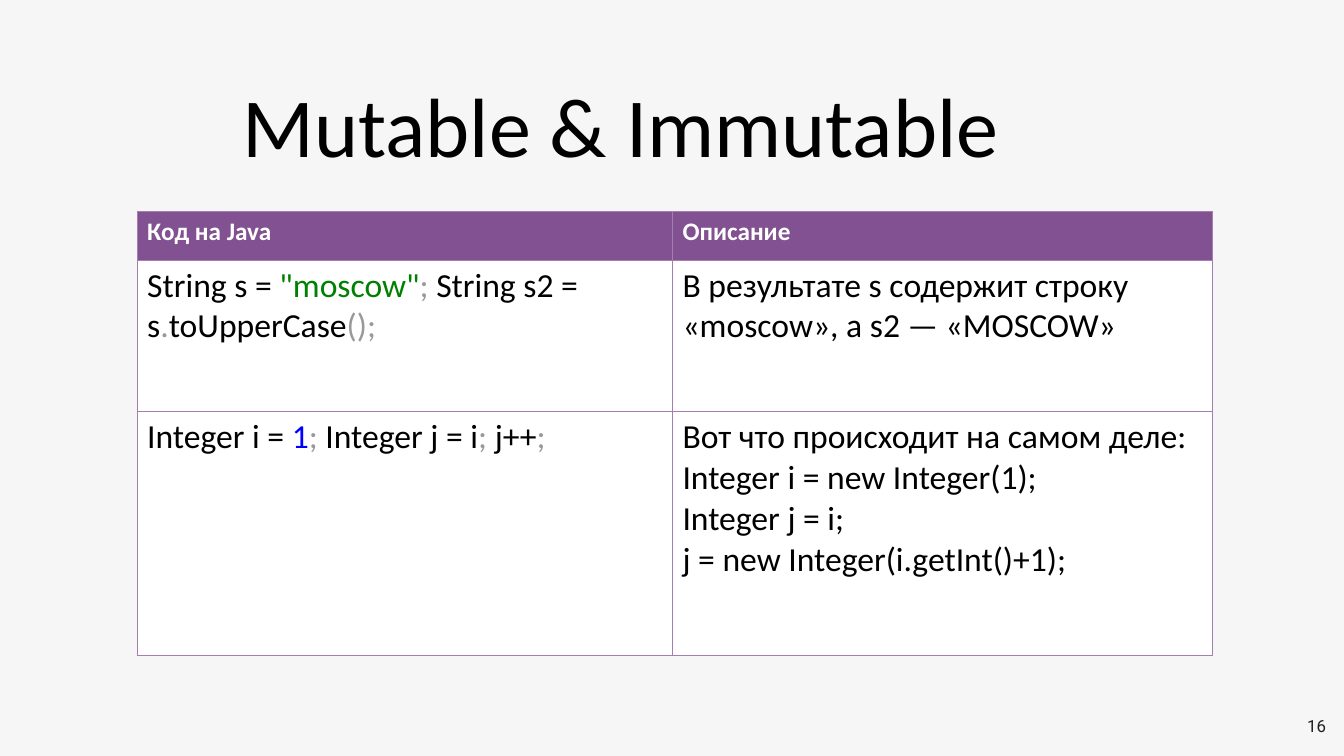
"""Builds the slide comparing mutable and immutable values in Java."""
from lxml.etree import SubElement
from pptx import Presentation
from pptx.dml.color import RGBColor
from pptx.enum.text import MSO_ANCHOR, MSO_AUTO_SIZE, PP_ALIGN
from pptx.oxml.ns import qn
from pptx.util import Inches, Pt

COLORS = {
    "background": "F6F6F6",
    "header": "815191",
    "border": "A37EAF",
    "white": "FFFFFF",
    "text": "000000",
    "number": "202020",
    "string": "008000",
    "symbol": "999999",
    "digit": "0000FF",
}
COLUMN_WIDTHS = (5.31, 5.35)
ROW_HEIGHTS = (0.48, 1.5, 2.42)
HEADERS = ("Код на Java", "Описание")
EXAMPLES = (
    (
        (("String s = ", "text"), ('"moscow"', "string"), ("; ", "symbol"),
         ("String s2 = s", "text"), (".", "symbol"), ("toUpperCase", "text"),
         ("();", "symbol")),
        "В результате s содержит строку «moscow», а s2 — «MOSCOW»",
    ),
    (
        (("Integer i = ", "text"), ("1", "digit"), ("; ", "symbol"),
         ("Integer j = i", "text"), (";", "symbol"), (" j++", "text"),
         (";", "symbol")),
        "Вот что происходит на самом деле:\nInteger i = new Integer(1);\n"
        "Integer j = i;\nj = new Integer(i.getInt()+1);",
    ),
)


def color(name):
    return RGBColor.from_string(COLORS[name])


def style(para, size, color_name, font="Calibri", bold=False):
    para.font.name = font
    para.font.size = Pt(size)
    para.font.bold = bold
    para.font.color.rgb = color(color_name)


def add_title(page, text):
    title = page.shapes.title
    title.left, title.top = Inches(0.52), Inches(0.79)
    title.width, title.height = Inches(11.27), Inches(0.64)
    frame = title.text_frame
    frame.text = text
    frame.auto_size = MSO_AUTO_SIZE.NONE
    frame.vertical_anchor = MSO_ANCHOR.TOP
    para = frame.paragraphs[0]
    para.alignment = PP_ALIGN.CENTER
    para.line_spacing = 0.9
    style(para, 60, "text")


def add_page_number(page, text):
    box = page.shapes.add_textbox(
        Inches(12.39), Inches(6.98), Inches(0.86), Inches(0.44))
    frame = box.text_frame
    frame.word_wrap = True
    frame.vertical_anchor = MSO_ANCHOR.MIDDLE
    para = frame.paragraphs[0]
    para.text = text
    para.alignment = PP_ALIGN.RIGHT
    style(para, 12, "number", "Roboto")


def format_cell(cell, fill_name):
    properties = cell._tc.get_or_add_tcPr()
    for side in ("lnL", "lnR", "lnT", "lnB"):
        line = SubElement(properties, qn(f"a:{side}"), w=str(Pt(0.57)))
        fill = SubElement(line, qn("a:solidFill"))
        SubElement(fill, qn("a:srgbClr"), val=COLORS["border"])
    cell.fill.solid()
    cell.fill.fore_color.rgb = color(fill_name)


def fill_code(cell, pieces):
    para = cell.text_frame.paragraphs[0]
    style(para, 24, "text")
    for text, color_name in pieces:
        span = para.add_run()
        span.text = text
        span.font.color.rgb = color(color_name)


def fill_text(cell, text, size, color_name, bold=False):
    para = cell.text_frame.paragraphs[0]
    para.text = text
    style(para, size, color_name, bold=bold)


def add_examples_table(page):
    table = page.shapes.add_table(
        len(ROW_HEIGHTS), len(COLUMN_WIDTHS), Inches(1.36), Inches(2.1),
        Inches(sum(COLUMN_WIDTHS)), Inches(sum(ROW_HEIGHTS))).table
    for column, width in zip(table.columns, COLUMN_WIDTHS):
        column.width = Inches(width)
    for row, height in zip(table.rows, ROW_HEIGHTS):
        row.height = Inches(height)
    for index, header in enumerate(HEADERS):
        cell = table.cell(0, index)
        format_cell(cell, "header")
        fill_text(cell, header, 18, "white", bold=True)
    for index, (code, description) in enumerate(EXAMPLES, start=1):
        code_cell, description_cell = table.cell(index, 0), table.cell(index, 1)
        format_cell(code_cell, "white")
        format_cell(description_cell, "white")
        fill_code(code_cell, code)
        fill_text(description_cell, description, 24, "text")


def main():
    deck = Presentation()
    deck.slide_width, deck.slide_height = Inches(13.33), Inches(7.5)
    page = deck.slides.add_slide(deck.slide_layouts[5])
    page.background.fill.solid()
    page.background.fill.fore_color.rgb = color("background")
    add_page_number(page, "16")
    add_title(page, "Mutable & Immutable")
    add_examples_table(page)
    deck.save("out.pptx")


if __name__ == "__main__":
    main()
